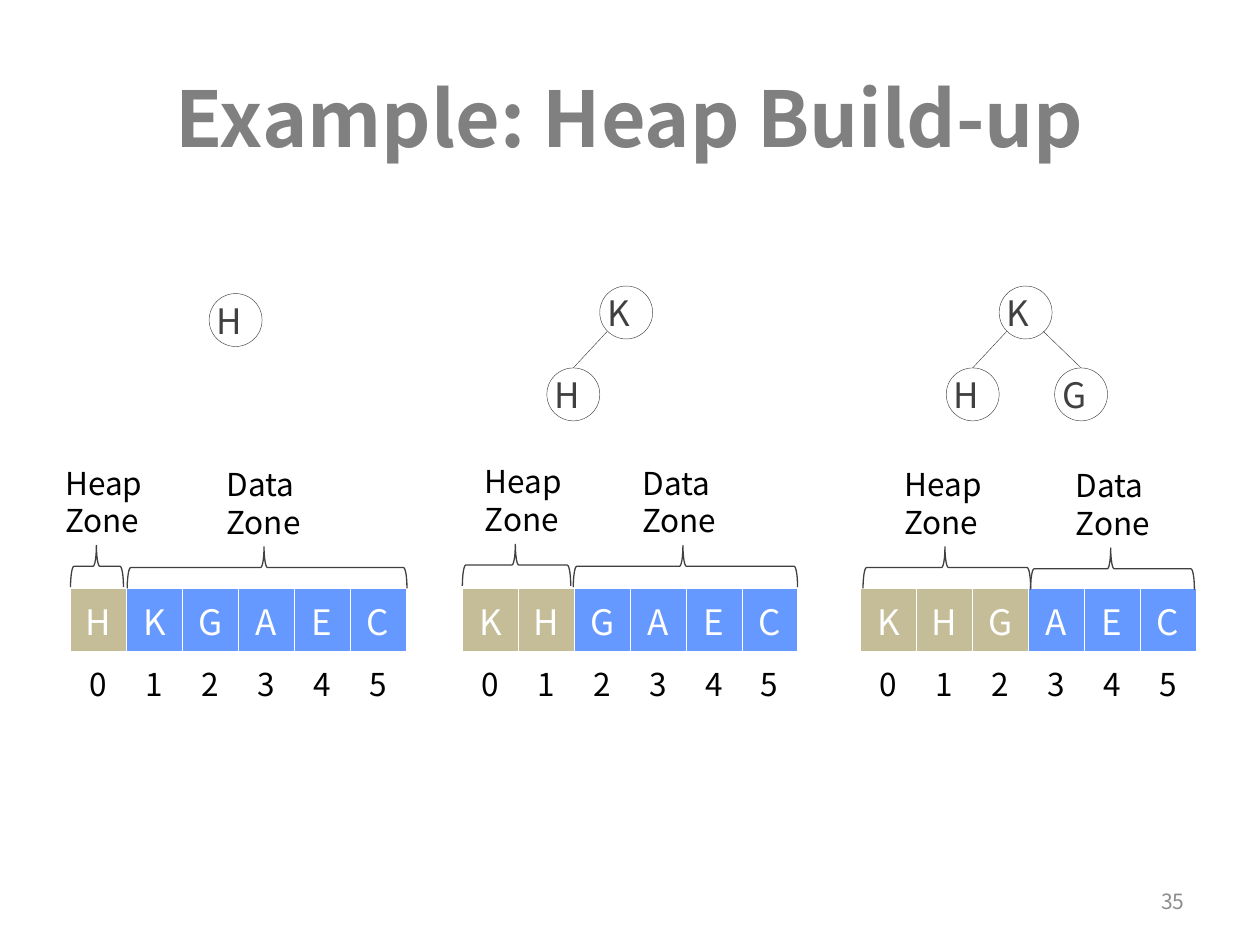
from dataclasses import dataclass

from lxml.etree import SubElement
from pptx import Presentation
from pptx.dml.color import RGBColor
from pptx.enum.shapes import MSO_CONNECTOR, MSO_SHAPE
from pptx.enum.text import MSO_ANCHOR, MSO_AUTO_SIZE, PP_ALIGN
from pptx.oxml import parse_xml
from pptx.oxml.ns import nsdecls, qn
from pptx.util import Pt

PX = 9144  # 100 px to the inch
FONT = "Noto Sans CJK SC"
COLORS = {
    "title": "808080",
    "number": "8C8C8C",
    "ink": "404040",
    "label": "000000",
    "light": "FFFFFF",
    "heap": "C4BD97",
    "data": "6699FF",
}
NODE_SIZE = 42
ARRAY_TOP, ARRAY_WIDTH, ROW_HEIGHT = 467, 266, 50
BRACE_DEPTH, BRACE_DROP = 33, 70  # drop: from label top to brace top
LABEL_WIDTH, LABEL_HEIGHT = 81, 71


@dataclass(frozen=True)
class Node:
    key: str
    x: int
    y: int


@dataclass(frozen=True)
class Zone:
    name: str
    label_x: int
    label_y: int
    brace_x: int
    span: int


@dataclass(frozen=True)
class Step:
    array_x: int
    keys: str
    heap_size: int
    nodes: tuple[Node, ...]  # root first, then its children
    zones: tuple[Zone, Zone]


STEPS = (
    Step(56, "HKGAEC", 1, (Node("H", 166, 233),),
         (Zone("Heap", 42, 363, 56, 42), Zone("Data", 170, 364, 101, 222))),
    Step(367, "KHGAEC", 2, (Node("K", 476, 227), Node("H", 434, 292)),
         (Zone("Heap", 375, 362, 367, 86), Zone("Data", 500, 363, 455, 178))),
    Step(683, "KHGAEC", 3,
         (Node("K", 793, 227), Node("H", 751, 292), Node("G", 837, 292)),
         (Zone("Heap", 708, 364, 685, 133), Zone("Data", 844, 365, 818, 130))),
)


def color(name: str) -> RGBColor:
    return RGBColor.from_string(COLORS[name])


def px(*lengths: int) -> list[int]:
    return [length * PX for length in lengths]


def write(frame, text: str, size: int, ink: str, align=PP_ALIGN.LEFT,
          bold: bool = False, **frame_format) -> None:
    for name, value in frame_format.items():
        setattr(frame, name, value)
    frame.text = text
    font_format = {"name": FONT, "size": Pt(size), "bold": bold}
    for paragraph in frame.paragraphs:
        paragraph.alignment = align
        for name, value in font_format.items():
            setattr(paragraph.font, name, value)
        paragraph.font.color.rgb = color(ink)


def outline(shape, width: float) -> None:
    shape.line.color.rgb = color("ink")
    shape.line.width = Pt(width)


def add_outlined(slide, kind, box: list[int], width: float):
    shape = slide.shapes.add_shape(kind, *box)
    shape.shadow.inherit = False
    shape.fill.background()
    outline(shape, width)
    return shape


def add_node(slide, node: Node) -> None:
    circle = add_outlined(slide, MSO_SHAPE.OVAL,
                          px(node.x, node.y, NODE_SIZE, NODE_SIZE), 0.25)
    write(circle.text_frame, node.key, 20, "ink", word_wrap=False,
          vertical_anchor=MSO_ANCHOR.MIDDLE, margin_left=0, margin_right=0,
          margin_top=0, margin_bottom=0)


def add_edge(slide, root: Node, child: Node) -> None:
    start_x = root.x + (6 if child.x < root.x else NODE_SIZE - 7)
    edge = slide.shapes.add_connector(
        MSO_CONNECTOR.STRAIGHT,
        *px(start_x, root.y + 36, child.x + NODE_SIZE // 2, child.y))
    outline(edge, 0.25)
    SubElement(edge._element.spPr, qn("a:effectLst"))


def add_zone(slide, zone: Zone) -> None:
    # The brace is drawn upright, then turned about its centre to point up
    center_x = zone.brace_x * PX + zone.span * PX // 2
    center_y = (zone.label_y + BRACE_DROP) * PX + BRACE_DEPTH * PX // 2
    width, height = px(BRACE_DEPTH, zone.span)
    brace = add_outlined(
        slide, MSO_SHAPE.LEFT_BRACE,
        [center_x - width // 2, center_y - height // 2, width, height], 0.75)
    brace.rotation = 90
    brace._element.spPr.find(qn("a:xfrm")).set("flipV", "1")
    brace.adjustments[0], brace.adjustments[1] = 0.083, 0.489

    label = slide.shapes.add_textbox(
        *px(zone.label_x, zone.label_y, LABEL_WIDTH, LABEL_HEIGHT))
    write(label.text_frame, f"{zone.name}\nZone", 18, "label",
          word_wrap=False, auto_size=MSO_AUTO_SIZE.SHAPE_TO_FIT_TEXT)


def add_borders(cell) -> None:
    properties = cell._tc.get_or_add_tcPr()
    for position, side in enumerate("LRTB"):
        properties.insert(position, parse_xml(
            f'<a:ln{side} {nsdecls("a")} w="{Pt(0.25)}"><a:solidFill>'
            f'<a:srgbClr val="{COLORS["light"]}"/></a:solidFill></a:ln{side}>'))


def add_array(slide, step: Step) -> None:
    count = len(step.keys)
    table = slide.shapes.add_table(
        2, count, *px(step.array_x, ARRAY_TOP, ARRAY_WIDTH, 2 * ROW_HEIGHT)).table
    table.first_row = table.horz_banding = False
    for index, key in enumerate(step.keys):
        table.columns[index].width = ARRAY_WIDTH * PX // count
        key_cell, index_cell = table.cell(0, index), table.cell(1, index)
        key_cell.fill.solid()
        key_cell.fill.fore_color.rgb = color(
            "heap" if index < step.heap_size else "data")
        index_cell.fill.background()
        write(key_cell.text_frame, key, 20, "light", PP_ALIGN.CENTER)
        write(index_cell.text_frame, str(index), 18, "label", PP_ALIGN.CENTER)
        for cell in (key_cell, index_cell):
            cell.vertical_anchor = MSO_ANCHOR.MIDDLE
            add_borders(cell)


def main() -> None:
    deck = Presentation()
    deck.slide_width, deck.slide_height = px(1000, 750)
    slide = deck.slides.add_slide(deck.slide_layouts[5])

    # Title and slide number
    title = slide.shapes.title
    title.left, title.top, title.width, title.height = px(50, 30, 900, 125)
    write(title.text_frame, "Example: Heap Build-up", 44, "title",
          PP_ALIGN.CENTER, True, vertical_anchor=MSO_ANCHOR.MIDDLE)
    number = slide.shapes.add_textbox(*px(717, 695, 233, 40))
    write(number.text_frame, "35", 12, "number", PP_ALIGN.RIGHT,
          word_wrap=True, vertical_anchor=MSO_ANCHOR.MIDDLE)

    # Each step: array, zones and heap tree
    for step in STEPS:
        add_array(slide, step)
        for zone in step.zones:
            add_zone(slide, zone)
        root, *children = step.nodes
        for node in step.nodes:
            add_node(slide, node)
        for child in children:
            add_edge(slide, root, child)

    deck.save("out.pptx")


if __name__ == "__main__":
    main()
